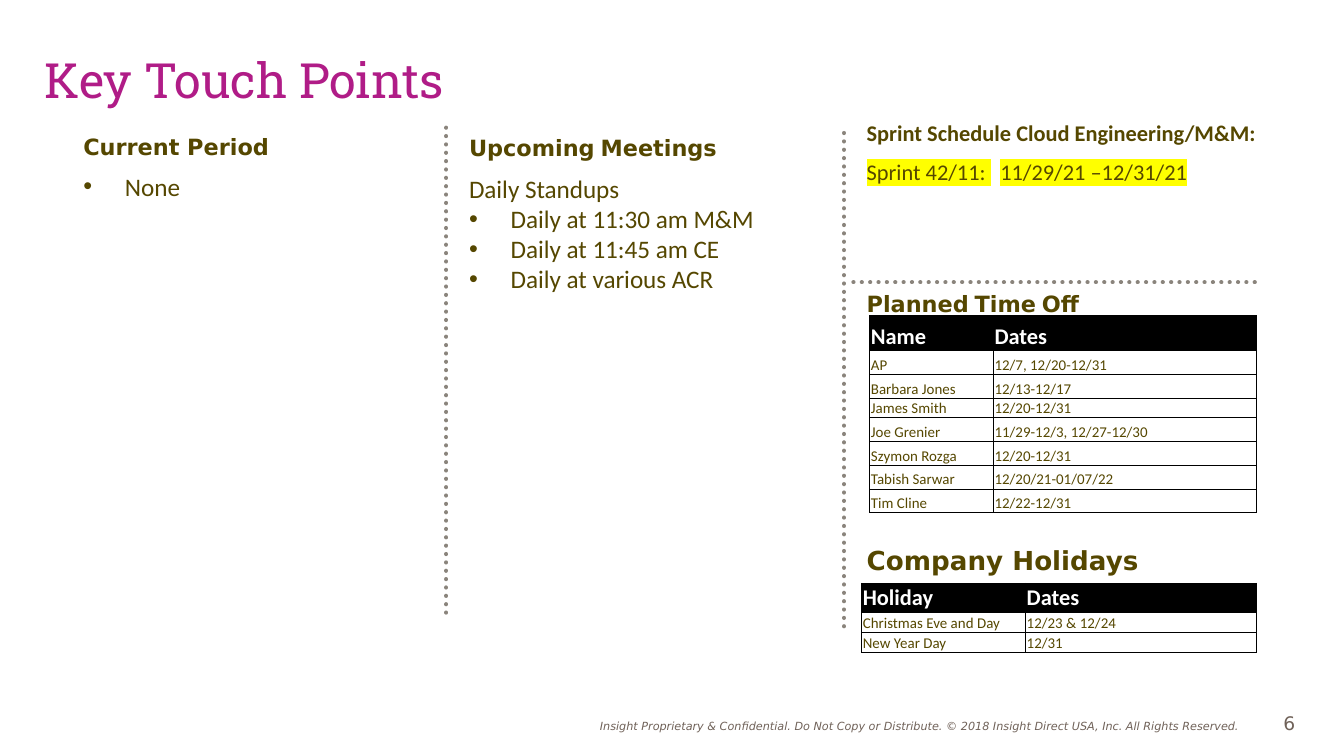
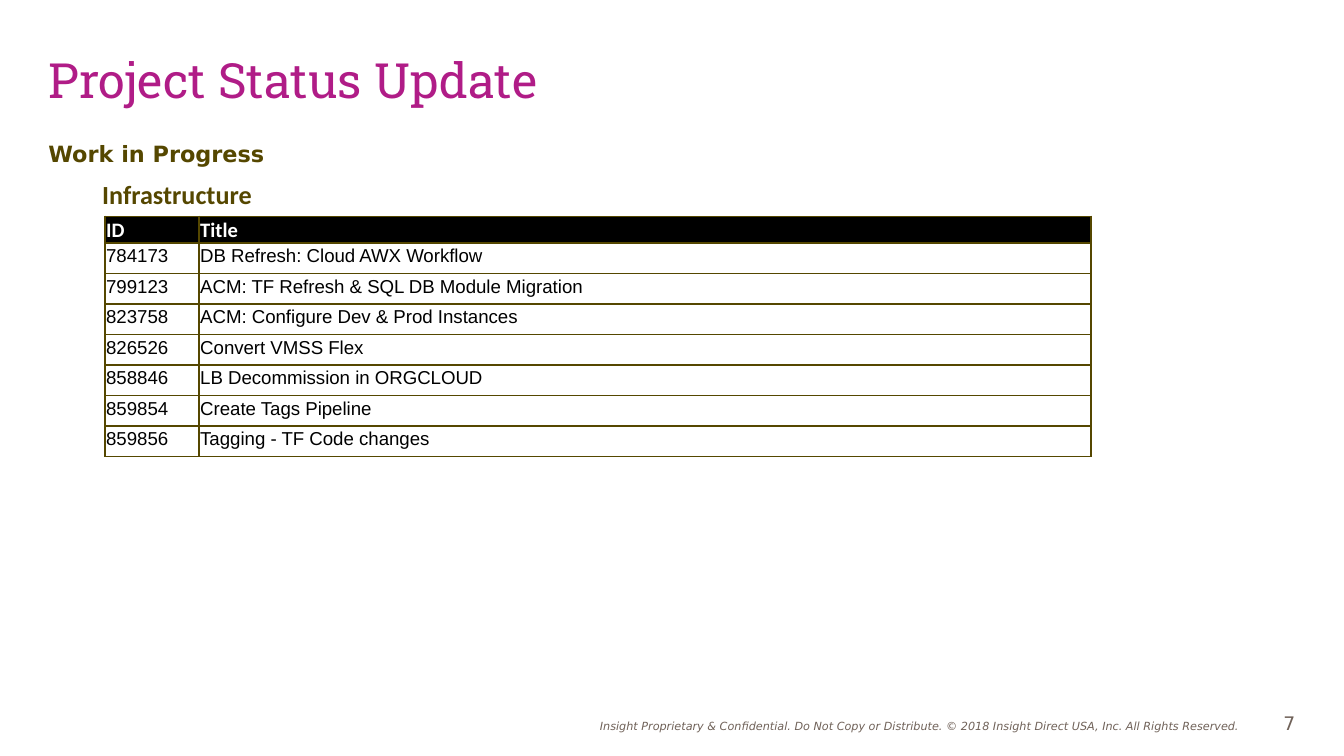
from dataclasses import dataclass

from lxml import etree
from pptx import Presentation
from pptx.dml.color import RGBColor
from pptx.enum.dml import MSO_LINE
from pptx.enum.shapes import MSO_CONNECTOR
from pptx.enum.text import MSO_ANCHOR, MSO_AUTO_SIZE, PP_ALIGN
from pptx.oxml.ns import qn
from pptx.util import Inches, Pt


@dataclass(frozen=True)
class Style:
    font: str
    size: float
    color: str
    bold: bool = False
    italic: bool = False
    mark: str = ""
    spread: int = 0  # extra letter spacing, in points


@dataclass(frozen=True)
class Theme:
    black: str = "000000"
    olive: str = "554700"
    dots: str = "8A847C"
    title: Style = Style("Roboto Slab", 26, "B01C87")
    head: Style = Style("DejaVu Sans", 12, "554700", True)
    large: Style = Style("DejaVu Sans", 14, "554700", True)
    gap: Style = Style("Calibri", 13.5, "554700", True)
    text: Style = Style("Calibri", 13.5, "554700")
    sprint: Style = Style("Calibri", 12, "554700", True)
    dates: Style = Style("Calibri", 12, "554700", mark="FFFF00")
    wide: Style = Style("Calibri", 12, "554700", mark="FFFF00", spread=5)
    group: Style = Style("Calibri", 14, "554700", True)
    top: Style = Style("Calibri", 12, "FFFFFF", True)
    cell: Style = Style("Calibri", 8, "554700")
    work_top: Style = Style("Calibri", 11, "FFFFFF", True)
    work: Style = Style("Arial", 10, "000000")
    foot: Style = Style("DejaVu Sans", 6, "706259", italic=True)
    page: Style = Style("DejaVu Sans", 10, "706259")


THEME = Theme()
FOOTER = ("Insight Proprietary & Confidential. Do Not Copy or Distribute. "
          "© 2018 Insight Direct USA, Inc. All Rights Reserved.")
TIME_OFF = [
    ("Name", "Dates"),
    ("AP", "12/7, 12/20-12/31"),
    ("Barbara Jones", "12/13-12/17"),
    ("James Smith", "12/20-12/31"),
    ("Joe Grenier", "11/29-12/3, 12/27-12/30"),
    ("Szymon Rozga", "12/20-12/31"),
    ("Tabish Sarwar", "12/20/21-01/07/22"),
    ("Tim Cline", "12/22-12/31"),
]
HOLIDAYS = [
    ("Holiday", "Dates"),
    ("Christmas Eve and Day", "12/23 & 12/24"),
    ("New Year Day", "12/31"),
]
WORK = [
    ("ID", "Title"),
    ("784173", "DB Refresh: Cloud AWX Workflow"),
    ("799123", "ACM: TF Refresh & SQL DB Module Migration"),
    ("823758", "ACM: Configure Dev & Prod Instances"),
    ("826526", "Convert VMSS Flex"),
    ("858846", "LB Decommission in ORGCLOUD"),
    ("859854", "Create Tags Pipeline"),
    ("859856", "Tagging - TF Code changes"),
]


def add_run(para, text, style):
    run = para.add_run()
    run.text = text
    font = run.font
    font.name, font.size = style.font, Pt(style.size)
    font.bold, font.italic = style.bold, style.italic
    font.color.rgb = RGBColor.from_string(style.color)
    props = run._r.rPr
    if style.spread:
        props.set("spc", str(style.spread * 100))
    if style.mark:
        mark = etree.Element(qn("a:highlight"))
        etree.SubElement(mark, qn("a:srgbClr"), val=style.mark)
        props.find(qn("a:solidFill")).addnext(mark)


def set_list(para, bullet=False, indent=0.0):
    """Set the bullet and left indent, overriding the template's list style."""
    props = para._p.get_or_add_pPr()
    hang = Inches(0.31) if bullet else 0
    props.set("marL", str(hang or Inches(indent)))
    props.set("indent", str(-hang))
    if bullet:
        etree.SubElement(props, qn("a:buFont"), typeface="Arial")
        etree.SubElement(props, qn("a:buChar"), char="•")
    else:
        etree.SubElement(props, qn("a:buNone"))


def add_line(frame, runs, after=0, bullet=False, indent=0.0):
    """Add a paragraph of (text, style) runs, filling the empty first one."""
    first = frame.paragraphs[0]
    para = frame.add_paragraph() if first.runs else first
    set_list(para, bullet, indent)
    para.space_before, para.space_after = Pt(0), Pt(after)
    for text, style in runs:
        add_run(para, text, style)
    return para


def add_head(frame, *words):
    """Add a heading whose words are parted by body-font spaces."""
    runs = []
    for word in words:
        if runs:
            runs.append((" ", THEME.gap))
        runs.append((word, THEME.head))
    return add_line(frame, runs, after=6)


def place(shape, left, top, width, height):
    shape.left, shape.top = Inches(left), Inches(top)
    shape.width, shape.height = Inches(width), Inches(height)
    frame = shape.text_frame
    frame.word_wrap, frame.auto_size = True, MSO_AUTO_SIZE.NONE
    return frame


def add_box(slide, left, top, width, height):
    shape = slide.shapes.add_textbox(0, 0, 0, 0)
    return place(shape, left, top, width, height)


def add_dots(slide, x1, y1, x2, y2):
    line = slide.shapes.add_connector(
        MSO_CONNECTOR.STRAIGHT, Inches(x1), Inches(y1), Inches(x2), Inches(y2))
    line.line.color.rgb = RGBColor.from_string(THEME.dots)
    line.line.width = Pt(2.25)
    line.line.dash_style = MSO_LINE.ROUND_DOT
    props = line._element.spPr
    props.find(qn("a:ln")).set("cap", "rnd")
    etree.SubElement(props, qn("a:effectLst"))


def set_edges(cell, color, width):
    props = cell._tc.get_or_add_tcPr()
    for spot, side in enumerate("LRTB"):
        edge = etree.Element(qn(f"a:ln{side}"), w=str(Pt(width)))
        fill = etree.SubElement(edge, qn("a:solidFill"))
        etree.SubElement(fill, qn("a:srgbClr"), val=color)
        props.insert(spot, edge)


def add_grid(slide, rows, left, top, widths, heights, styles, edge, pad=0.0):
    """Add a table; styles holds the header and body style, pad the body's foot."""
    table = slide.shapes.add_table(
        len(rows), len(widths), Inches(left), Inches(top),
        Inches(sum(widths)), Inches(sum(heights))).table
    table.horz_banding = False
    for column, width in zip(table.columns, widths):
        column.width = Inches(width)
    for r, (row, height) in enumerate(zip(rows, heights)):
        table.rows[r].height = Inches(height)
        for c, text in enumerate(row):
            cell = table.cell(r, c)
            cell.margin_left = cell.margin_right = cell.margin_top = Inches(0.01)
            cell.margin_bottom = Inches(pad if r else 0)
            cell.vertical_anchor = MSO_ANCHOR.BOTTOM
            set_edges(cell, *edge)
            if r:
                cell.fill.background()
            else:
                cell.fill.solid()
                cell.fill.fore_color.rgb = RGBColor.from_string(THEME.black)
            add_run(cell.text_frame.paragraphs[0], text, styles[min(r, 1)])


def add_slide(deck, layout, title, left, page):
    slide = deck.slides.add_slide(deck.slide_layouts.get_by_name(layout))
    frame = place(slide.shapes.title, left, 0.24, 9.53, 0.75)
    frame.vertical_anchor = MSO_ANCHOR.MIDDLE
    para = add_line(frame, [(title, THEME.title)])
    para.alignment, para.line_spacing = PP_ALIGN.LEFT, 0.9
    foot = add_box(slide, 3.53, 5.3, 5.78, 0.2)
    add_line(foot, [(FOOTER, THEME.foot)]).alignment = PP_ALIGN.RIGHT
    add_line(add_box(slide, 9.45, 5.25, 0.7, 0.27), [(str(page), THEME.page)])
    return slide


def add_points(deck):
    slide = add_slide(deck, "Two Content", "Key Touch Points", 0.23, 6)

    now = place(slide.placeholders[1], 0.52, 0.94, 2.64, 0.61)
    add_head(now, "Current Period")
    add_line(now, [("None", THEME.text)], bullet=True)

    plan = place(slide.placeholders[2], 3.39, 0.93, 2.8, 1.55)
    add_head(plan, "Upcoming", "Meetings")
    add_line(plan, [("Daily Standups", THEME.text)])
    for item in ("11:30 am M&M", "11:45 am CE", "various ACR"):
        add_line(plan, [(f"Daily at {item}", THEME.text)], bullet=True)

    sprint = add_box(slide, 6.35, 0.84, 3.41, 0.59)
    add_line(sprint, [("Sprint Schedule Cloud Engineering/M&M:", THEME.sprint)],
             after=6)
    add_line(sprint, [("Sprint 42/11:", THEME.dates), (" ", THEME.wide),
                      ("11/29/21 –12/31/21", THEME.dates)])

    add_dots(slide, 3.32, 0.95, 3.32, 4.61)
    add_dots(slide, 6.28, 0.99, 6.28, 4.66)
    add_dots(slide, 6.35, 2.1, 9.35, 2.1)

    styles, edge = (THEME.top, THEME.cell), (THEME.black, 0.5)
    add_head(add_box(slide, 6.35, 2.09, 3.25, 1.47), "Planned", "Time", "Off")
    even = (1.46 - 0.26 - 0.14) / 6
    add_grid(slide, TIME_OFF, 6.47, 2.35, (0.92, 1.96),
             [0.26, even, even, 0.14] + [even] * 4, styles, edge)
    add_line(add_box(slide, 6.35, 4, 2.88, 0.34),
             [("Company Holidays", THEME.large)], after=6)
    add_grid(slide, HOLIDAYS, 6.41, 4.34, (1.22, 1.72),
             (0.2, 0.15, 0.15), styles, edge)


def add_status(deck):
    slide = add_slide(deck, "Title and Content", "Project Status Update", 0.26, 7)
    body = place(slide.placeholders[1], 0.26, 0.99, 8.91, 3.53)
    add_head(body, "Work in Progress")
    add_line(body, [("Infrastructure", THEME.group)], after=6, indent=0.4)
    even = (1.78 - 0.19) / 7
    add_grid(slide, WORK, 0.78, 1.61, (0.7, 6.64), [0.19] + [even] * 7,
             (THEME.work_top, THEME.work), (THEME.olive, 1), pad=0.05)


def main():
    deck = Presentation()
    deck.slide_width = Inches(10)
    deck.slide_height = deck.slide_width * 9 // 16
    add_points(deck)
    add_status(deck)
    deck.save("out.pptx")


if __name__ == "__main__":
    main()
